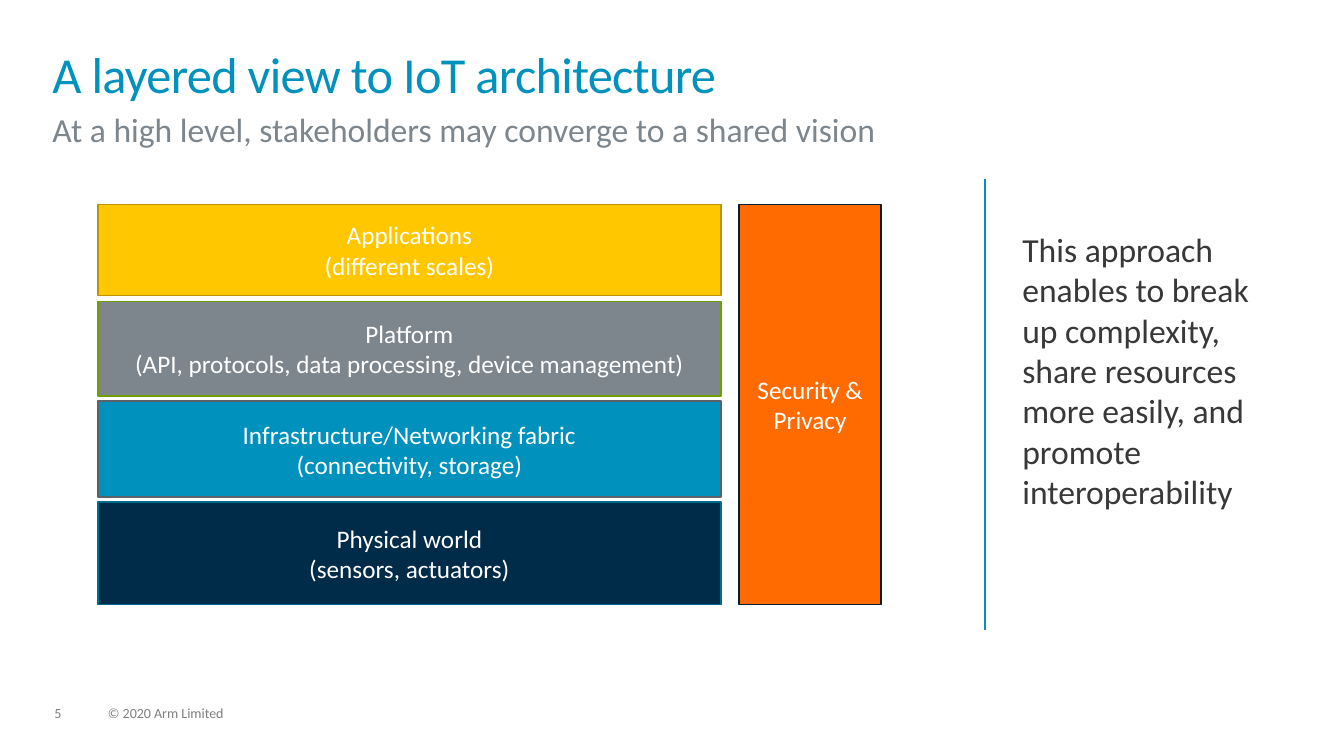
from pptx import Presentation
from pptx.dml.color import RGBColor
from pptx.enum.shapes import MSO_CONNECTOR, MSO_SHAPE
from pptx.enum.text import MSO_ANCHOR, MSO_AUTO_SIZE, PP_ALIGN
from pptx.oxml.ns import qn
from pptx.util import Inches, Pt
from lxml import etree


def color(value):
    return RGBColor.from_string(value)


def write(box, lines, size, ink, align=PP_ALIGN.LEFT, anchor=MSO_ANCHOR.TOP,
          margins=(0, 0), spacing=1.0):
    frame = box.text_frame
    frame.word_wrap = True
    frame.auto_size = MSO_AUTO_SIZE.NONE
    frame.vertical_anchor = anchor
    frame.margin_left = frame.margin_right = Inches(margins[0])
    frame.margin_top = frame.margin_bottom = Inches(margins[1])
    frame.text = "\n".join(lines)
    for para in frame.paragraphs:
        para.alignment = align
        para.line_spacing = spacing
        para.font.name = "Calibri"
        para.font.size = Pt(size)
        para.font.color.rgb = color(ink)


deck = Presentation()
deck.slide_width, deck.slide_height = Inches(13.33), Inches(7.5)
page = deck.slides.add_slide(deck.slide_layouts[5])

# Title
title = page.shapes.title
title.left, title.top = Inches(0.52), Inches(0.52)
title.width, title.height = Inches(12.28), Inches(0.56)
write(title, ["A layered view to IoT architecture"], 36, "0091BD", spacing=0.85)
title_span = title.text_frame.paragraphs[0].runs[0]
title_span._r.get_or_add_rPr().set("spc", "-50")

# Subtitle, side remark and footer: left, top, width, height, text, size, colour, spacing
texts = [
    (0.52, 1.08, 12.28, 0.38,
     "At a high level, stakeholders may converge to a shared vision", 24, "7D868C", 1.0),
    (10.14, 2.27, 2.67, 3.98,
     "This approach enables to break up complexity, share resources more easily, "
     "and promote interoperability", 24, "383838", 1.0),
    (0.54, 7.01, 0.34, 0.15, "5", 10, "7F7F7F", 0.9),
    (1.07, 7.01, 1.71, 0.15, "© 2020 Arm Limited", 10, "7F7F7F", 0.9),
]
for left, top, width, height, text, size, ink, spacing in texts:
    box = page.shapes.add_textbox(Inches(left), Inches(top), Inches(width), Inches(height))
    write(box, [text], size, ink, spacing=spacing)

# Divider
divider = page.shapes.add_connector(
    MSO_CONNECTOR.STRAIGHT, Inches(9.77), Inches(1.78), Inches(9.77), Inches(6.25))
divider.line.color.rgb = color("0091BD")
divider.line.width = Pt(1)
etree.SubElement(divider._element.spPr, qn("a:effectLst"))

# Layers and the cross-cutting column: left, top, width, height, fill, outline, lines
blocks = [
    (0.97, 4.98, 6.18, 1.02, "002B49", "006B8C",
     ["Physical world", "(sensors, actuators)"]),
    (0.97, 3.98, 6.18, 0.95, "0091BD", "5C6368",
     ["Infrastructure/Networking fabric", "(connectivity, storage)"]),
    (0.97, 2.99, 6.18, 0.94, "7D868C", "6E9E00",
     ["Platform", "(API, protocols, data processing, device management)"]),
    (0.97, 2.03, 6.18, 0.9, "FFC700", "BD9300",
     ["Applications", "(different scales)"]),
    (7.33, 2.03, 1.41, 3.97, "FF6B00", "002036", ["Security & Privacy"]),
]
for left, top, width, height, fill, outline, lines in blocks:
    block = page.shapes.add_shape(
        MSO_SHAPE.RECTANGLE, Inches(left), Inches(top), Inches(width), Inches(height))
    block.shadow.inherit = False
    block.fill.solid()
    block.fill.fore_color.rgb = color(fill)
    block.line.color.rgb = color(outline)
    block.line.width = Pt(1)
    write(block, lines, 18, "FFFFFF", PP_ALIGN.CENTER, MSO_ANCHOR.MIDDLE, (0.1, 0.05))

deck.save("out.pptx")
